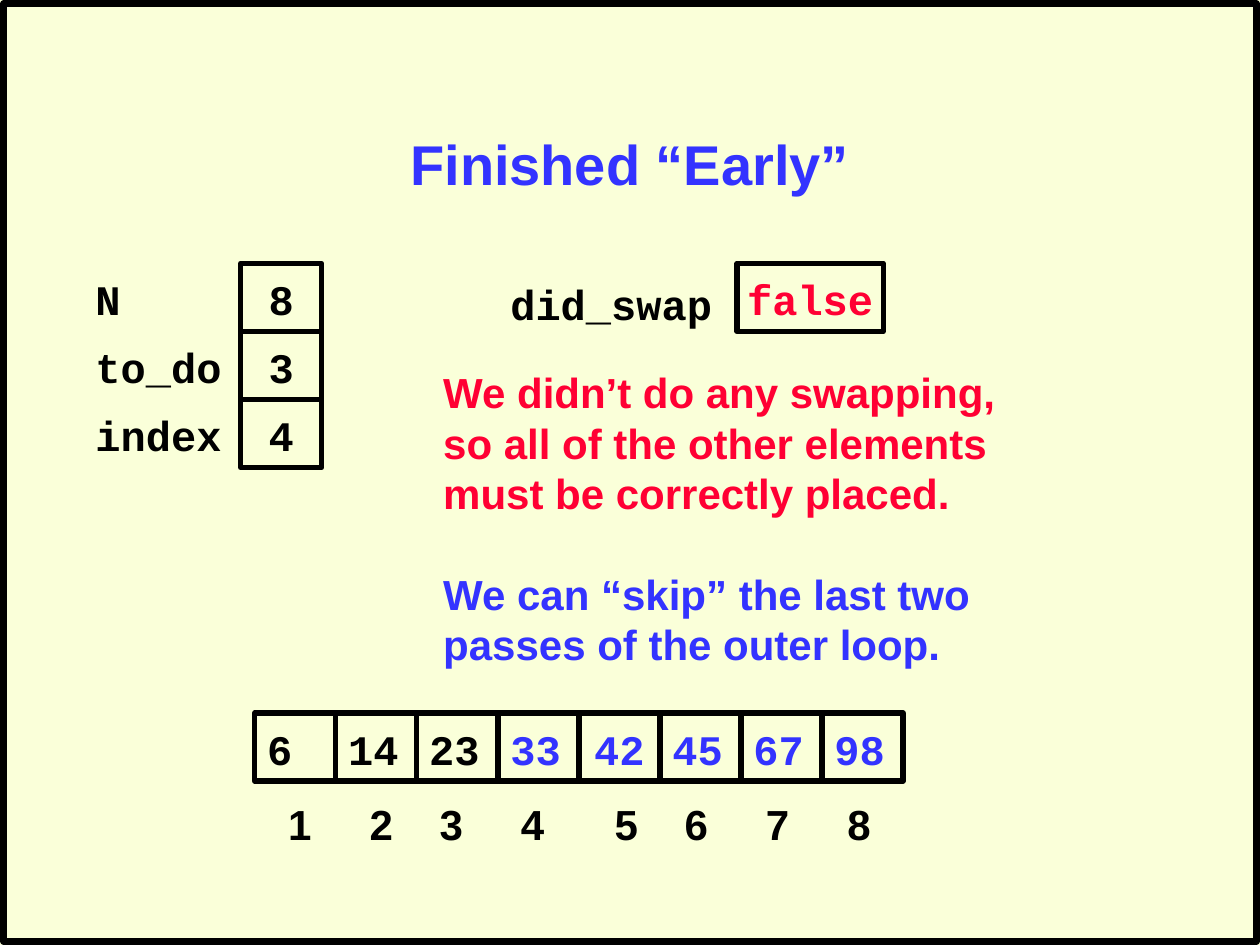
from lxml.etree import SubElement
from pptx import Presentation
from pptx.dml.color import RGBColor
from pptx.enum.shapes import MSO_SHAPE
from pptx.enum.text import MSO_ANCHOR, PP_ALIGN
from pptx.oxml.ns import qn
from pptx.util import Pt

CREAM = RGBColor(0xFA, 0xFF, 0xD9)
BLACK = RGBColor(0x00, 0x00, 0x00)
BLUE = RGBColor(0x33, 0x33, 0xFF)
RED = RGBColor(0xFF, 0x00, 0x33)
SANS, MONO = "Arial", "Courier New"
LINE_PITCH = {SANS: 1.2, MONO: 1.29}

CELL_WIDTH, CELL_HEIGHT = 46.3, 38.9
VARIABLES_TOP = 150.5
ARRAY_LEFT, ARRAY_TOP = 145.6, 407.5


class SlideBuilder:
    def __init__(self, deck):
        self.page = deck.slides.add_slide(deck.slide_layouts[5])
        self.page.background.fill.solid()
        self.page.background.fill.fore_color.rgb = CREAM

    def style(self, para, font, color, size=24, align=PP_ALIGN.LEFT):
        para.alignment = align
        para.line_spacing = Pt(size * LINE_PITCH[font])
        for span in para.runs:
            span.font.name = font
            span.font.size = Pt(size)
            span.font.bold = True
            span.font.color.rgb = color

    def title(self, text, left, top, width, height):
        box = self.page.shapes.title
        box.left, box.top, box.width, box.height = map(Pt, (left, top, width, height))
        box.text_frame.text = text
        box.text_frame.vertical_anchor = MSO_ANCHOR.MIDDLE
        self.style(box.text_frame.paragraphs[0], SANS, BLUE, 32, PP_ALIGN.CENTER)

    def frame(self, left, top, width, height, weight=3):
        box = self.page.shapes.add_shape(
            MSO_SHAPE.RECTANGLE, Pt(left), Pt(top), Pt(width), Pt(height))
        box.shadow.inherit = False
        box.fill.background()
        box.line.color.rgb = BLACK
        box.line.width = Pt(weight)
        return box

    def cell(self, text, left, top, width=CELL_WIDTH, color=BLACK,
             align=PP_ALIGN.CENTER):
        box = self.frame(left, top, width, CELL_HEIGHT)
        box.text_frame.text = text
        box.text_frame.word_wrap = False
        box.text_frame.vertical_anchor = MSO_ANCHOR.TOP
        self.style(box.text_frame.paragraphs[0], MONO, color, align=align)

    def label(self, paragraphs, left, top, width, height=36, font=MONO, wrap=False):
        """Add a text box from (text, color) pairs, one line apart."""
        box = self.page.shapes.add_textbox(Pt(left), Pt(top), Pt(width), Pt(height))
        box.text_frame.word_wrap = wrap
        for number, (text, color) in enumerate(paragraphs):
            if number:
                para = box.text_frame.add_paragraph()
                para.space_before = Pt(28.8)
            else:
                para = box.text_frame.paragraphs[0]
            para.text = text
            self.style(para, font, color)
        return box

    def tabbed_label(self, words, stops, left, top, width):
        box = self.label([("\t".join(words), BLACK)], left, top, width,
                         font=SANS, wrap=True)
        properties = box.text_frame.paragraphs[0]._p.get_or_add_pPr()
        tabs = SubElement(properties, qn("a:tabLst"))
        for stop in stops:
            SubElement(tabs, qn("a:tab"), pos=str(Pt(stop)), algn="l")


def main():
    deck = Presentation()
    deck.slide_width, deck.slide_height = Pt(720), Pt(540)
    slide = SlideBuilder(deck)

    # Page border and title
    slide.frame(2, 2, 716, 536, weight=3.75)
    slide.title("Finished “Early”", 54, 48, 612, 90)

    # Array and its index numbers
    for column, number in enumerate((6, 14, 23, 33, 42, 45, 67, 98)):
        slide.cell(str(number), ARRAY_LEFT + column * CELL_WIDTH, ARRAY_TOP,
                   color=BLUE if column >= 3 else BLACK,
                   align=PP_ALIGN.CENTER if number == 42 else PP_ALIGN.LEFT)
    slide.tabbed_label("12345678", (46.5, 86.5, 133, 186.5, 226.5, 273, 319.5),
                       157.6, 453, 348)

    # Loop variables
    for row, (name, value) in enumerate((("N", "8"), ("to_do", "3"), ("index", "4"))):
        top = VARIABLES_TOP + row * CELL_HEIGHT
        slide.label([(name, BLACK)], 47.5, top, 86.4)
        slide.cell(value, 137.5, top)

    # Swap flag
    slide.label([("did_swap", BLACK)], 284.5, 153.5, 187)
    slide.cell("false", 421.2, VARIABLES_TOP, width=83.5, color=RED)

    # Explanation
    slide.label([
        ("We didn’t do any swapping,\vso all of the other elements\v"
         "must be correctly placed.", RED),
        ("We can “skip” the last two\vpasses of the outer loop.", BLUE),
    ], 246.2, 206, 330.5, 180, font=SANS)

    deck.save("out.pptx")


if __name__ == "__main__":
    main()
